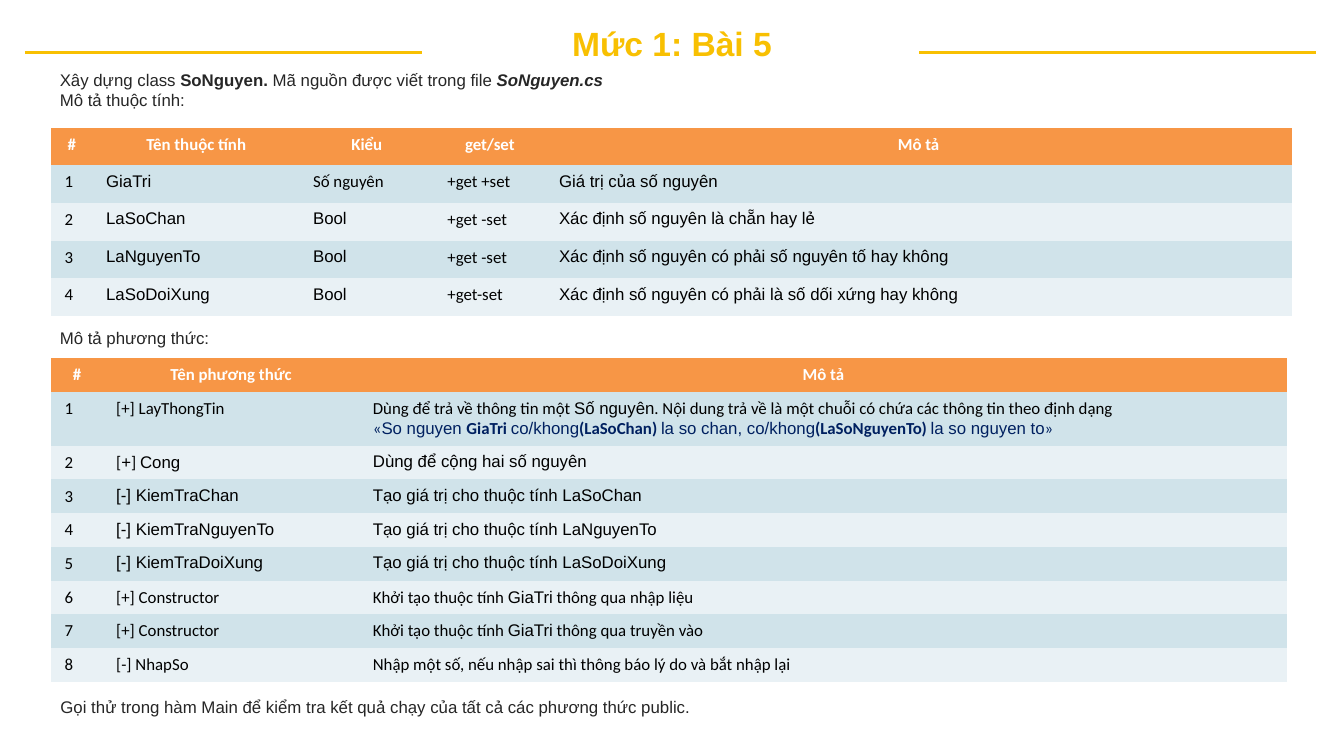
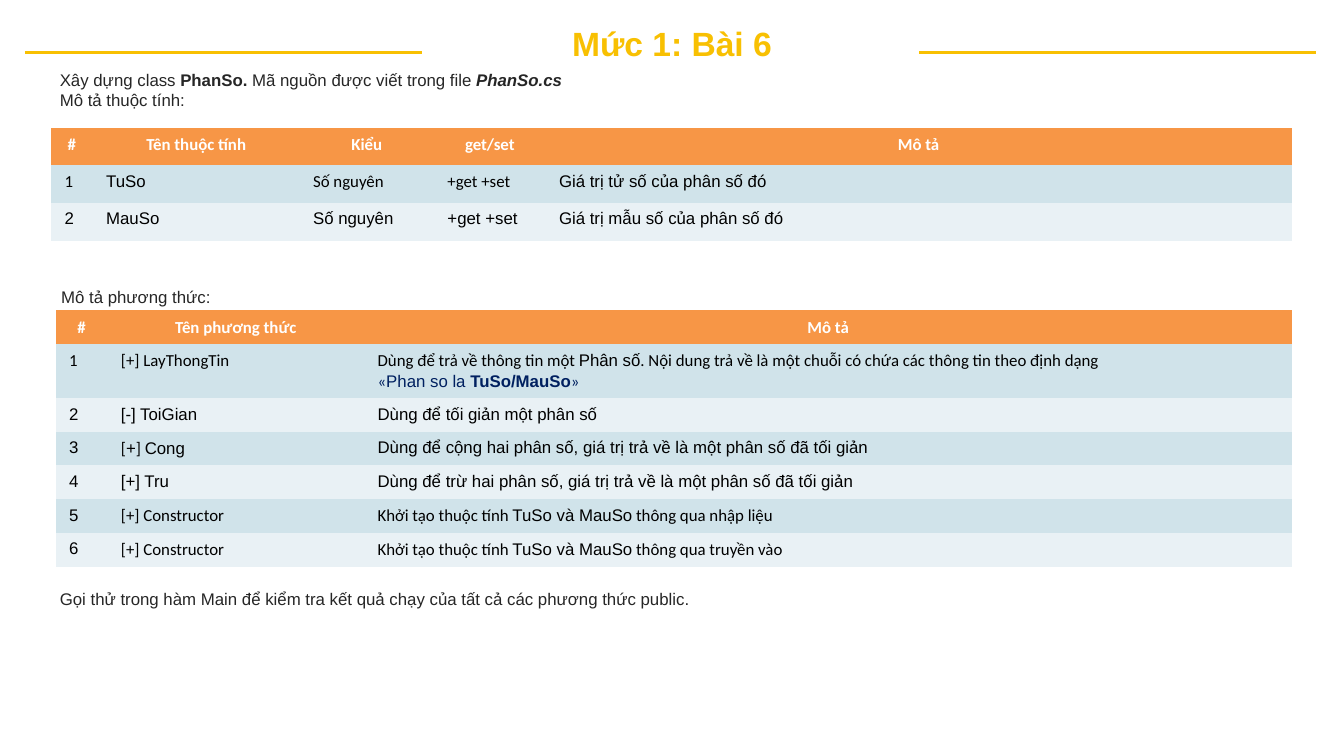
from lxml import etree
from pptx import Presentation
from pptx.dml.color import RGBColor
from pptx.enum.shapes import MSO_CONNECTOR
from pptx.enum.text import MSO_ANCHOR, MSO_AUTO_SIZE, PP_ALIGN
from pptx.oxml.ns import qn
from pptx.util import Pt

PX = 4572  # 200 px to the inch
STRAIGHT = MSO_CONNECTOR.STRAIGHT
MIDDLE = MSO_ANCHOR.MIDDLE
GROW, FIXED = MSO_AUTO_SIZE.SHAPE_TO_FIT_TEXT, MSO_AUTO_SIZE.NONE
LEFT, CENTER = PP_ALIGN.LEFT, PP_ALIGN.CENTER

GOLD, ORANGE, NAVY = "F8C002", "F79646", "002060"
INK, BLACK, WHITE = "262626", "000000", "FFFFFF"
BANDS = ["D0E3EA", "E9F1F5"]
PLAIN_TABLE = "{2D5ABB26-0587-4C30-8999-92F81FD0307C}"

PROPERTY_HEADS = ["#", "Tên thuộc tính", "Kiểu", "get/set", "Mô tả"]
PROPERTY_WIDTHS = [62, 308, 200, 166, 1110]
METHOD_HEADS = ["#", "Tên phương thức", "Mô tả"]
METHOD_WIDTHS = [77, 382, 1381]

# Content is a string, or a list of lines, each a list of (text, flags) spans.
# Flags: c Calibri, b bold, i italic, n navy
WHOLE = [[("Số nguyên", "c")]]
GET_SET = [[("+get +set", "c")]]
GET_ONLY = [[("+get -set", "c")]]
GET_INFO = [[("[+] LayThongTin", "c")]]
CONSTRUCTOR = [[("[+] Constructor", "c")]]
ADD = [[("[", "c"), ("+", ""), ("] ", "c"), ("Cong", "")]]
INFO_START = ("Dùng để trả về thông tin một ", "c")
INFO_END = (". Nội dung trả về là một chuỗi có chứa các thông tin theo định dạng", "c")
INIT = ("Khởi tạo thuộc tính ", "c")
BY_INPUT = (" thông qua nhập liệu", "c")
BY_VALUE = (" thông qua truyền vào", "c")

# The first calibri_numbers row numbers are in Calibri, later ones in Arial
LESSONS = [
    {
        "title": "Mức 1: Bài 5",
        "class": "SoNguyen",
        "calibri_numbers": 8,
        "properties": [
            ["GiaTri", WHOLE, GET_SET, "Giá trị của số nguyên"],
            ["LaSoChan", "Bool", GET_ONLY, "Xác định số nguyên là chẵn hay lẻ"],
            ["LaNguyenTo", "Bool", GET_ONLY,
             "Xác định số nguyên có phải số nguyên tố hay không"],
            ["LaSoDoiXung", "Bool", [[("+get-set", "c")]],
             "Xác định số nguyên có phải là số dối xứng hay không"],
        ],
        "methods_label": (75, 479),
        "methods_at": (76, 533),
        "methods": [
            [GET_INFO, [
                [INFO_START, ("Số nguyên", ""), INFO_END],
                [("«", "cn"), ("So nguyen ", "n"), ("GiaTri ", "cbn"),
                 ("co/khong", "n"), ("(LaSoChan) ", "cbn"),
                 ("la so chan, co/khong", "n"), ("(LaSoNguyenTo) ", "cbn"),
                 ("la so nguyen to", "n"), ("»", "cn")]]],
            [ADD, "Dùng để cộng hai số nguyên"],
            ["[-] KiemTraChan", "Tạo giá trị cho thuộc tính LaSoChan"],
            ["[-] KiemTraNguyenTo", "Tạo giá trị cho thuộc tính LaNguyenTo"],
            ["[-] KiemTraDoiXung", "Tạo giá trị cho thuộc tính LaSoDoiXung"],
            [CONSTRUCTOR, [[INIT, ("GiaTri", ""), BY_INPUT]]],
            [CONSTRUCTOR, [[INIT, ("GiaTri", ""), BY_VALUE]]],
            [[[("[-] NhapSo", "c")]],
             [[("Nhập một số, nếu nhập sai thì thông báo lý do và bắt nhập lại", "c")]]],
        ],
        "closing": (76, 1029),
    },
    {
        "title": "Mức 1: Bài 6",
        "class": "PhanSo",
        "calibri_numbers": 1,
        "properties": [
            ["TuSo", WHOLE, GET_SET, "Giá trị tử số của phân số đó"],
            ["MauSo", "Số nguyên", "+get +set", "Giá trị mẫu số của phân số đó"],
        ],
        "methods_label": (77, 418),
        "methods_at": (83, 462),
        "methods": [
            [GET_INFO, [
                [INFO_START, ("Phân số", ""), INFO_END],
                [("«", "cn"), ("Phan so la ", "n"), ("TuSo/MauSo", "bn"), ("»", "cn")]]],
            ["[-] ToiGian", "Dùng để tối giản một phân số"],
            [ADD, "Dùng để cộng hai phân số, giá trị trả về là một phân số đã tối giản"],
            ["[+] Tru", "Dùng để trừ hai phân số, giá trị trả về là một phân số đã tối giản"],
            [CONSTRUCTOR, [[INIT, ("TuSo và MauSo", ""), BY_INPUT]]],
            [CONSTRUCTOR, [[INIT, ("TuSo và MauSo", ""), BY_VALUE]]],
        ],
        "closing": (75, 868),
    },
]


def rgb(value):
    return RGBColor.from_string(value)


def write(frame, content, color, size=9, align=LEFT):
    lines = [[(content, "")]] if isinstance(content, str) else content
    for number, line in enumerate(lines):
        para = frame.add_paragraph() if number else frame.paragraphs[0]
        para.alignment = align
        para.font.name = "Arial"
        para.font.size = Pt(size)
        para.font.bold = False
        para.font.color.rgb = rgb(color)
        for text, flags in line:
            span = para.add_run()
            span.text = text
            font = para.font if len(line) == 1 else span.font
            if "c" in flags:
                font.name = "Calibri"
            if "b" in flags:
                font.bold = True
            if "i" in flags:
                font.italic = True
            if "n" in flags:
                font.color.rgb = rgb(NAVY)


deck = Presentation()
deck.slide_width = 2000 * PX
deck.slide_height = 1125 * PX
title_only = deck.slide_layouts[5]

for lesson in LESSONS:
    page = deck.slides.add_slide(title_only)

    # Rules on both sides of the title
    for start in (37, 1368):
        rule = page.shapes.add_connector(
            STRAIGHT, start * PX, 78 * PX, (start + 591) * PX, 78 * PX)
        rule.line.color.rgb = rgb(GOLD)
        rule.line.width = Pt(1.5)
        etree.SubElement(rule.element.spPr, qn("a:effectLst"))

    # Title
    title = page.shapes.title
    title.left, title.top, title.width, title.height = (
        615 * PX, 32 * PX, 770 * PX, 65 * PX)
    title.text_frame.vertical_anchor = MIDDLE
    write(title.text_frame, [[(lesson["title"], "b")]], GOLD, 18, CENTER)

    # Introduction, label of the methods, closing task
    introduction = [
        [("Xây dựng class ", ""), (lesson["class"] + ".", "b"),
         (" Mã nguồn được viết trong file ", ""), (lesson["class"] + ".cs", "bi")],
        [("Mô tả thuộc tính:", "")],
    ]
    closing = ("Gọi thử trong hàm Main để kiểm tra kết quả chạy "
               "của tất cả các phương thức public.")
    frames = [title.text_frame]
    for (left, top), height, content in [
            ((75, 96), 76, introduction),
            (lesson["methods_label"], 46, "Mô tả phương thức:"),
            (lesson["closing"], 46, closing)]:
        box = page.shapes.add_textbox(left * PX, top * PX, 1766 * PX, height * PX)
        write(box.text_frame, content, INK)
        frames.append(box.text_frame)
    for frame in frames:
        frame.word_wrap = True
        frame.auto_size = FIXED if frame is frames[0] else GROW
        frame.margin_left = frame.margin_right = 14 * PX
        frame.margin_top = frame.margin_bottom = 8 * PX

    # Tables of properties and methods
    for (left, top), heads, widths, row_height, body in [
            ((76, 190), PROPERTY_HEADS, PROPERTY_WIDTHS, 56, lesson["properties"]),
            (lesson["methods_at"], METHOD_HEADS, METHOD_WIDTHS, 50, lesson["methods"])]:
        holder = page.shapes.add_table(
            len(body) + 1, len(heads), left * PX, top * PX,
            sum(widths) * PX, row_height * (len(body) + 1) * PX)
        holder.element.find(".//" + qn("a:tableStyleId")).text = PLAIN_TABLE
        table = holder.table
        table.first_row = table.horz_banding = False
        for column, width in zip(table.columns, widths):
            column.width = width * PX

        rows = [[[[(head, "cb")]] for head in heads]]
        for number, values in enumerate(body, 1):
            flags = "c" if number <= lesson["calibri_numbers"] else ""
            rows.append([[[(str(number), flags)]]] + values)

        for r, values in enumerate(rows):
            two_lines = any(isinstance(value, list) and len(value) == 2 for value in values)
            table.rows[r].height = (row_height + 30 * two_lines) * PX
            for c, value in enumerate(values):
                cell = table.cell(r, c)
                cell.fill.solid()
                cell.fill.fore_color.rgb = rgb(BANDS[(r - 1) % 2] if r else ORANGE)
                write(cell.text_frame, value, BLACK if r else WHITE,
                      align=LEFT if r else CENTER)

deck.save("out.pptx")
